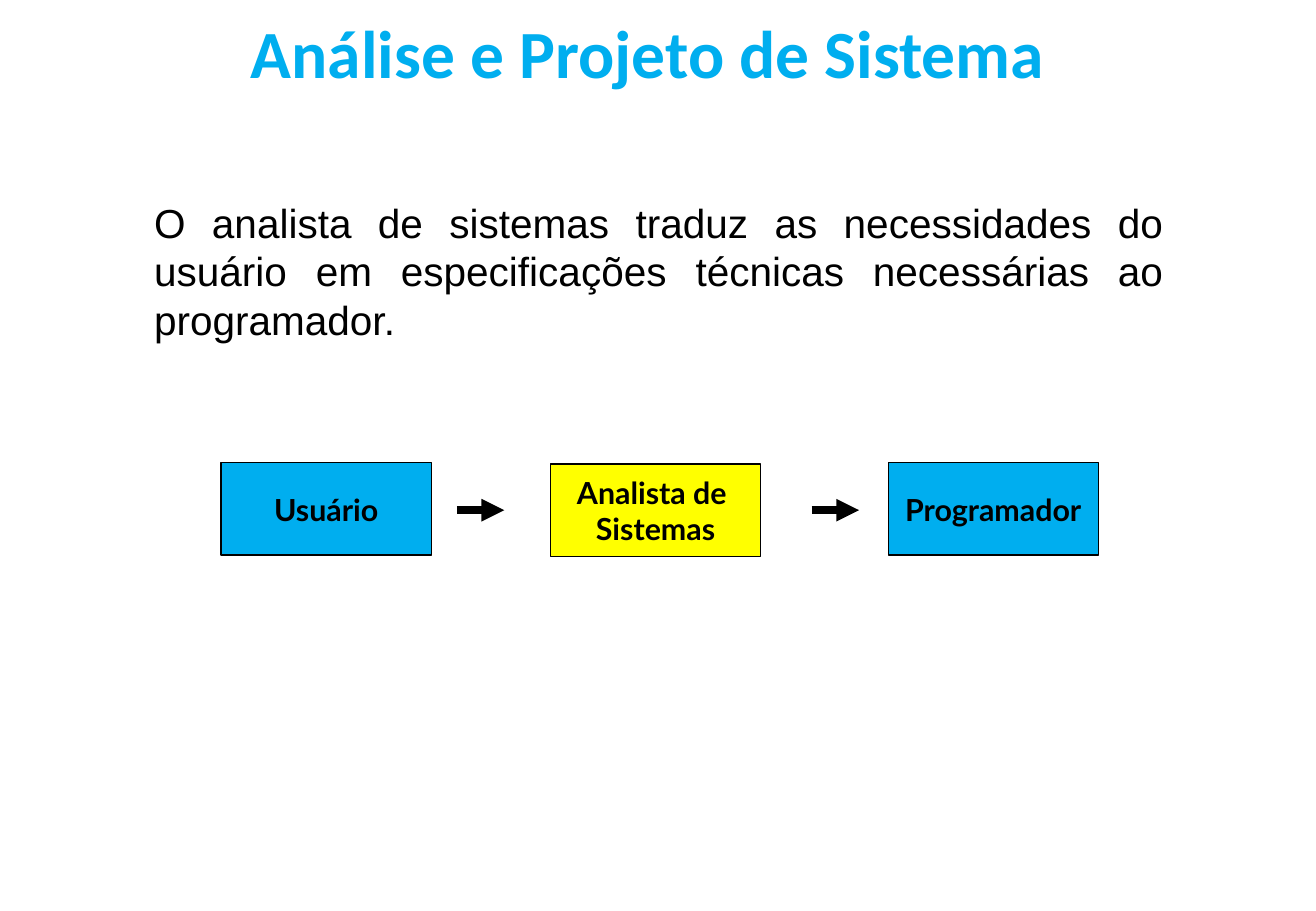
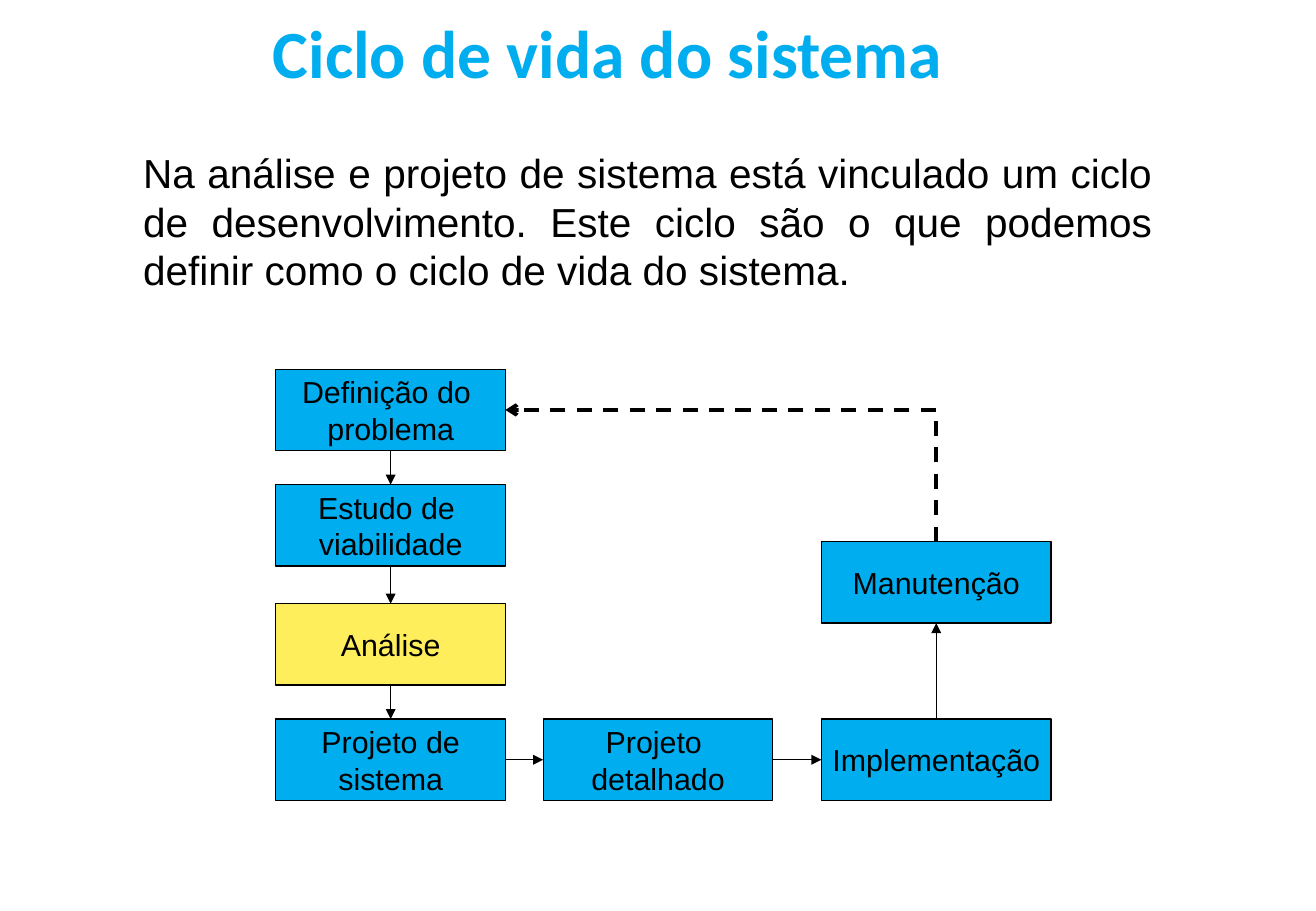
from pptx import Presentation
from pptx import util as u
from pptx.dml.color import RGBColor
from pptx.enum import dml, shapes, text
from pptx.oxml.ns import qn
from lxml import etree

PX = 9144
BLUE, YELLOW, PALE, BLACK = "00AEEF", "FFFF00", "FFEE5C", "000000"
TOP, LEFT, BOTTOM, RIGHT = range(4)

ANALYSIS = {
    "title": ("Análise e Projeto de Sistema", 75),
    "body": ("O analista de sistemas traduz as necessidades do usuário em "
             "especificações técnicas necessárias ao programador.", 117, 158),
}
ROLES = [
    ("Usuário", 182, 381, BLUE),
    ("Analista de \nSistemas", 453, 382, YELLOW),
    ("Programador", 731, 381, BLUE),
]
ROLE_SIZE = (173, 76)
ROLE_ARROWS = [376, 668]
ROLE_ARROW_Y, ROLE_ARROW_LENGTH = 420, 39

CYCLE = {
    "title": ("Ciclo de vida do sistema", 42),
    "body": ("Na análise e projeto de sistema está vinculado um ciclo de "
             "desenvolvimento. Este ciclo são o que podemos definir como o "
             "ciclo de vida do sistema.", 108, 117),
}
COLS = (227, 447, 676)
STAGES = [
    ("Definição do \nproblema", COLS[0], 304, BLUE),
    ("Estudo de \nviabilidade", COLS[0], 399, BLUE),
    ("Análise", COLS[0], 497, PALE),
    ("Projeto de\nsistema", COLS[0], 592, BLUE),
    ("Projeto \ndetalhado", COLS[1], 592, BLUE),
    ("Implementação", COLS[2], 592, BLUE),
    ("Manutenção", COLS[2], 446, BLUE),
]
STAGE_SIZE = (189, 67)
STEPS = [(BOTTOM, TOP)] * 3 + [(RIGHT, LEFT)] * 2 + [(TOP, BOTTOM)]


def px(*values):
    return [u.Emu(round(v * PX)) for v in values]


def rgb(color):
    return RGBColor.from_string(color)


def write(sp, words, font, size, color, align, bold=False):
    tf = sp.text_frame
    tf.text = words
    for p in tf.paragraphs:
        p.alignment = align
        for r in p.runs:
            r.font.name, r.font.size, r.font.bold = font, u.Pt(size), bold
            r.font.color.rgb = rgb(color)
    return tf


def add_slide(prs, content):
    s = prs.slides.add_slide(prs.slide_layouts[6])
    words, x = content["title"]
    tf = write(s.shapes.add_textbox(*px(x, 0, 916, 85)), words,
               "Calibri", 40, BLUE, text.PP_ALIGN.CENTER, True)
    tf.word_wrap = True
    tf.vertical_anchor = text.MSO_ANCHOR.MIDDLE
    words, x, y = content["body"]
    tf = write(s.shapes.add_textbox(*px(x, y, 850, 130)), words,
               "Arial", 24, BLACK, text.PP_ALIGN.JUSTIFY)
    tf.word_wrap = True
    tf.auto_size = text.MSO_AUTO_SIZE.SHAPE_TO_FIT_TEXT
    return s


def add_box(s, kind, box, size, font, bold=False):
    words, x, y, fill = box
    sp = s.shapes.add_shape(kind, *px(x, y, *size))
    sp.shadow.inherit = False
    sp.fill.solid()
    sp.fill.fore_color.rgb = rgb(fill)
    sp.line.color.rgb = rgb(BLACK)
    sp.line.width = u.Pt(0.75)
    tf = write(sp, words, font, 18, BLACK, text.PP_ALIGN.CENTER, bold)
    tf.word_wrap = False
    tf.vertical_anchor = text.MSO_ANCHOR.MIDDLE
    return sp


def add_arrow(s, start, end, width, head="triangle",
              kind=shapes.MSO_CONNECTOR.STRAIGHT):
    c = s.shapes.add_connector(kind, *px(*start, *end))
    c.line.color.rgb = rgb(BLACK)
    c.line.width = u.Pt(width)
    etree.SubElement(c.line._get_or_add_ln(), qn("a:tailEnd"), type=head)
    etree.SubElement(c._element.spPr, qn("a:effectLst"))
    return c


def add_return_arrow(s, start, end):
    dx, dy = start[0] - end[0], start[1] - end[1]
    cx, cy = (start[0] + end[0]) / 2, (start[1] + end[1]) / 2
    c = add_arrow(s, (cx + dy / 2, cy - dx / 2), (cx - dy / 2, cy + dx / 2),
                  2.25, "arrow", shapes.MSO_CONNECTOR.ELBOW)
    c.line.dash_style = dml.MSO_LINE.DASH
    sp_pr = c._element.spPr
    sp_pr.find(qn("a:xfrm")).set("rot", "5400000")
    sp_pr.find(qn("a:prstGeom")).set("prst", "bentConnector2")


def build_analysis(prs):
    s = add_slide(prs, ANALYSIS)
    for role in ROLES:
        add_box(s, shapes.MSO_SHAPE.RECTANGLE, role, ROLE_SIZE, "Lato", True)
    for x in ROLE_ARROWS:
        add_arrow(s, (x, ROLE_ARROW_Y), (x + ROLE_ARROW_LENGTH, ROLE_ARROW_Y), 4.5)


def build_cycle(prs):
    s = add_slide(prs, CYCLE)
    stages = [add_box(s, shapes.MSO_SHAPE.FLOWCHART_PROCESS, stage, STAGE_SIZE, "Arial")
              for stage in STAGES]
    for a, b, (site_a, site_b) in zip(stages, stages[1:], STEPS):
        c = add_arrow(s, (0, 0), (0, 0), 0.75)
        c.begin_connect(a, site_a)
        c.end_connect(b, site_b)
    w, h = STAGE_SIZE
    _, first_x, first_y, _ = STAGES[0]
    _, last_x, last_y, _ = STAGES[-1]
    add_return_arrow(s, (last_x + w / 2, last_y), (first_x + w, first_y + h / 2))


def main():
    prs = Presentation()
    prs.slide_width, prs.slide_height = px(1083, 750)
    build_analysis(prs)
    build_cycle(prs)
    prs.save("out.pptx")


if __name__ == "__main__":
    main()
